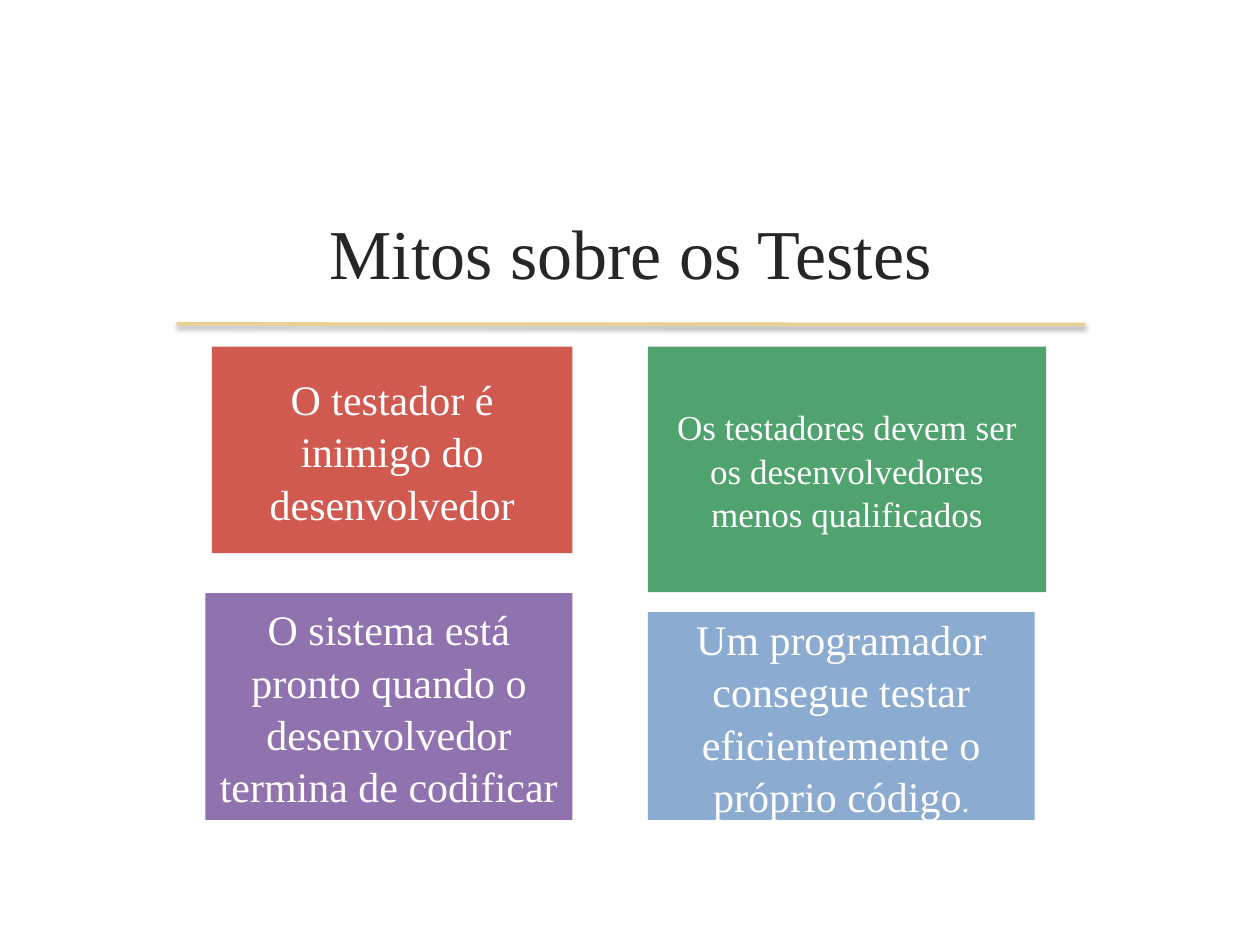
import pptx
import pptx.util
import pptx.dml.color
import pptx.enum.shapes
import pptx.enum.text
import pptx.oxml
import pptx.oxml.ns
from pptx.util import Cm

FONT = "Times New Roman"
WHITE = "FFFFFF"
LEFT, RIGHT, TOP, BASE = 4.27, 13.06, 6.99, 16.53

# box: left, top, width, height in cm; runs: text and size
CARDS = [
    ((LEFT, TOP, 7.27, 4.16), "D05950",
     [("O testador é inimigo do desenvolvedor", 24)]),
    ((RIGHT, TOP, 8.03, 4.95), "50A26F",
     [("Os testadores devem ser os desenvolvedores menos qualificados", 20)]),
    ((4.14, BASE - 4.57, 7.4, 4.57), "9072AE",
     [("O sistema está pronto quando o desenvolvedor termina de codificar", 24)]),
    ((RIGHT, BASE - 4.19, 7.8, 4.19), "8BABD1",
     [("Um programador consegue testar eficientemente o próprio código", 24),
      (".", 18)]),
]


def color(code):
    return pptx.dml.color.RGBColor.from_string(code)


def apply(item, form):
    for name, value in form.items():
        setattr(item, name, value)


def write(shape, runs, tint, pitch=1.0):
    """Fill the shape with one centred paragraph."""
    frame = shape.text_frame
    apply(frame, {
        "word_wrap": True,
        "auto_size": pptx.enum.text.MSO_AUTO_SIZE.NONE,
        "vertical_anchor": pptx.enum.text.MSO_ANCHOR.MIDDLE,
        "margin_left": Cm(0.25), "margin_right": Cm(0.25),
        "margin_top": Cm(0.13), "margin_bottom": Cm(0.13),
    })
    para = frame.paragraphs[0]
    apply(para, {"alignment": pptx.enum.text.PP_ALIGN.CENTER,
                 "line_spacing": pitch})
    for text, size in runs:
        run = para.add_run()
        run.text = text
        apply(run.font, {"name": FONT, "size": pptx.util.Pt(size)})
        run.font.color.rgb = color(tint)


def add_title(slide, text):
    box = slide.shapes.add_textbox(Cm(3.28), Cm(3.25), Cm(18.87), Cm(3.63))
    write(box, [(text, 40)], "262626")


def add_rule(slide):
    """Draw the gold line with its soft shadow."""
    kind = pptx.enum.shapes.MSO_CONNECTOR.STRAIGHT
    rule = slide.shapes.add_connector(kind, Cm(3.56), Cm(6.53),
                                      Cm(21.87), Cm(6.54))
    rule.line.width = pptx.util.Pt(2)
    rule.line.color.rgb = color("E8D191")
    rule._element.spPr.append(pptx.oxml.parse_xml(
        f'<a:effectLst {pptx.oxml.ns.nsdecls("a")}>'
        '<a:outerShdw blurRad="39370" dist="20320" dir="5400000" '
        'rotWithShape="0"><a:srgbClr val="000000"><a:alpha val="38000"/>'
        '</a:srgbClr></a:outerShdw></a:effectLst>'))


def add_card(slide, box, tint, runs):
    kind = pptx.enum.shapes.MSO_SHAPE.RECTANGLE
    card = slide.shapes.add_shape(kind, *map(Cm, box))
    card.shadow.inherit = False
    card.fill.solid()
    card.fill.fore_color.rgb = color(tint)
    card.line.fill.background()
    write(card, runs, WHITE, 1.04)


def main():
    deck = pptx.Presentation()
    apply(deck, {"slide_width": Cm(25.4), "slide_height": Cm(19.05)})
    slide = deck.slides.add_slide(deck.slide_layouts[6])
    add_rule(slide)
    add_title(slide, "Mitos sobre os Testes")
    for box, tint, runs in CARDS:
        add_card(slide, box, tint, runs)
    deck.save("out.pptx")


if __name__ == "__main__":
    main()
